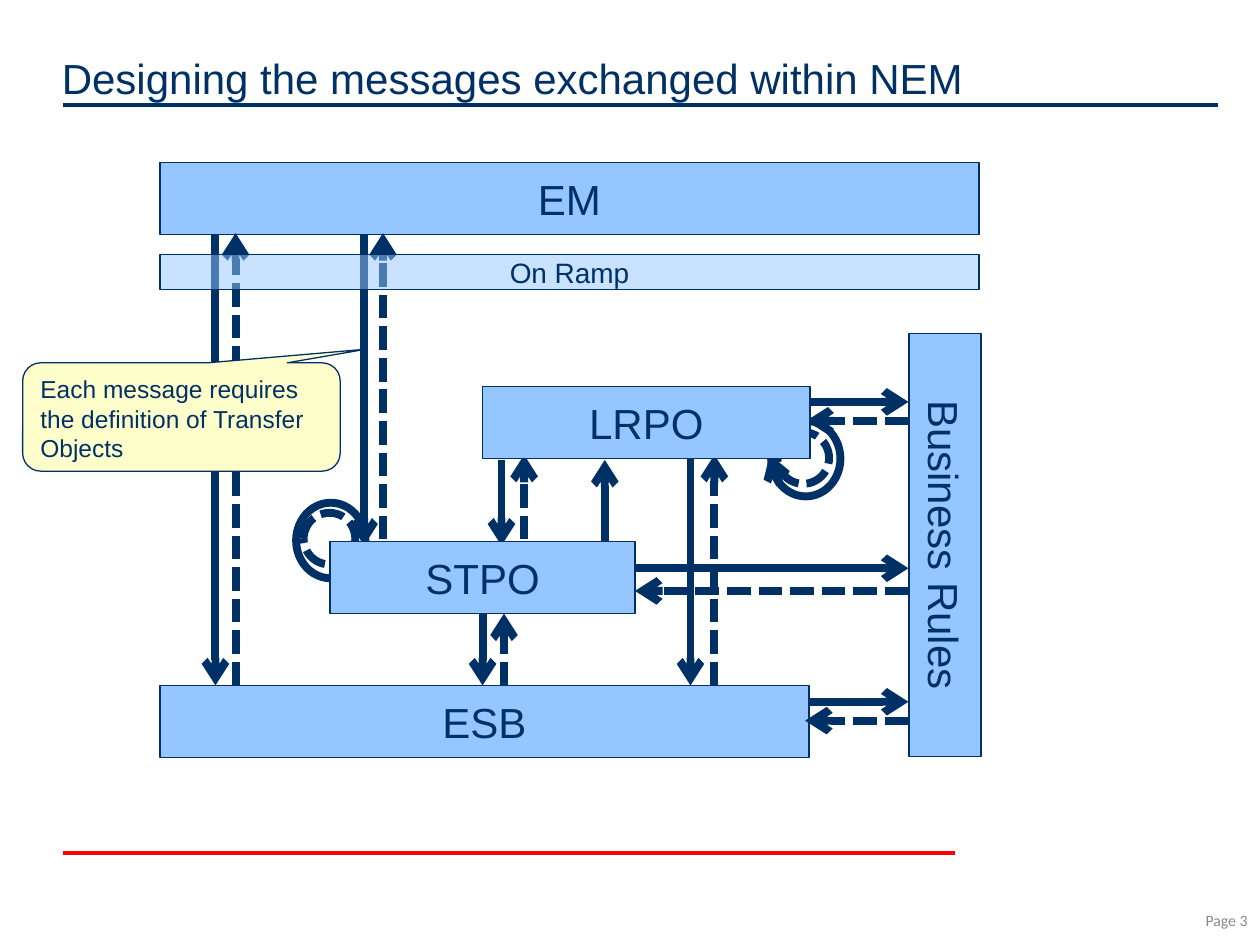
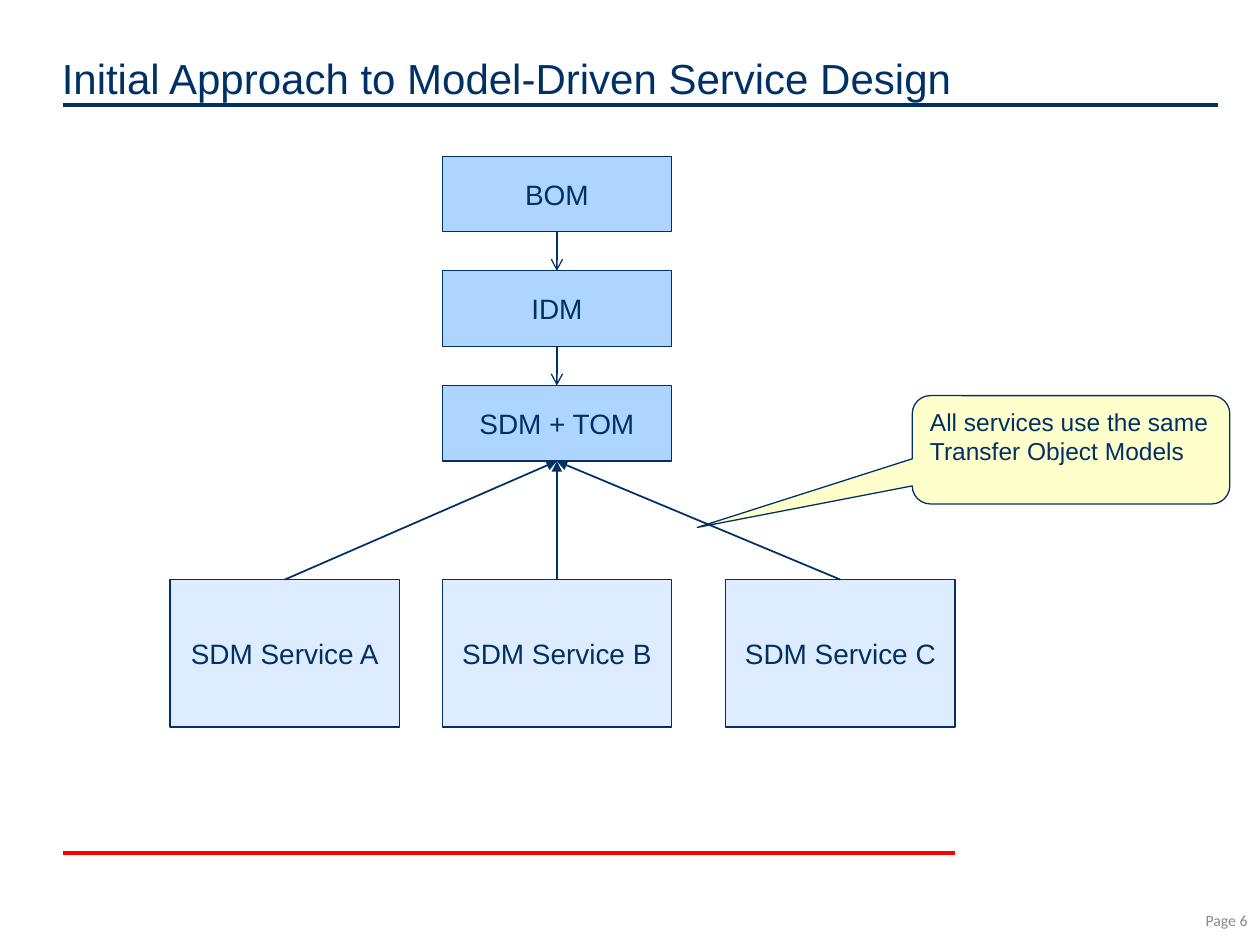
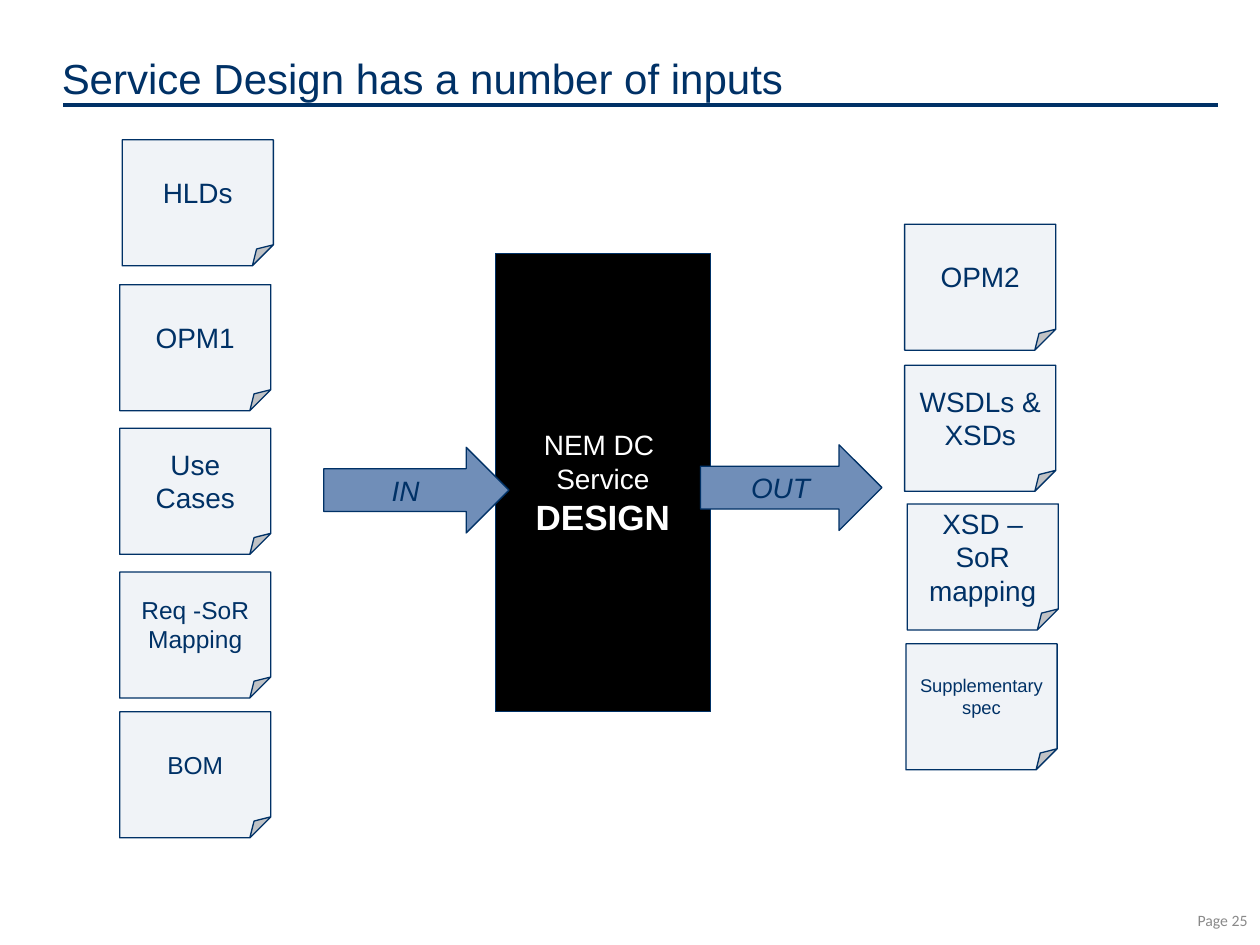
from dataclasses import dataclass

from lxml.etree import SubElement
from pptx import Presentation
from pptx.dml.color import RGBColor
from pptx.enum.dml import MSO_LINE
from pptx.enum.shapes import MSO_CONNECTOR, MSO_SHAPE as Preset
from pptx.enum.text import MSO_ANCHOR as Anchor, MSO_AUTO_SIZE, PP_ALIGN as Align
from pptx.oxml.ns import qn
from pptx.slide import Slide
from pptx.util import Emu, Pt

PX = 9144
NAVY, RED, WHITE, BLACK, GREY = "003166", "FE0000", "FFFFFF", "000000", "898989"
SYSTEM_BLUE, MODEL_BLUE, SERVICE_BLUE = "95C6FF", "ADD5FF", "DDEDFF"
CALLOUT_YELLOW, NOTE_GREY, ARROW_BLUE = "FFFFCC", "F0F3F7", "708EB8"
FLOW_WEIGHT = 4.5
TITLE_ONLY = 5


def px(*lengths):
    return [Emu(length * PX) for length in lengths]


def rgb(color):
    return RGBColor.from_string(color)


def write(frame, text, size=16, color=NAVY, font="Arial", bold=False, italic=False,
          align=Align.CENTER, anchor=Anchor.MIDDLE):
    frame.word_wrap = True
    frame.auto_size = MSO_AUTO_SIZE.NONE
    frame.vertical_anchor = anchor
    frame.text = text
    for paragraph in frame.paragraphs:
        paragraph.alignment = align
        for run in paragraph.runs:
            run.font.name, run.font.size = font, Pt(size)
            run.font.bold, run.font.italic = bold, italic
            run.font.color.rgb = rgb(color)


@dataclass
class Region:
    slide: Slide
    left: int = 0
    top: int = 0

    def block(self, x, y, width, height, fill=None, text="", preset=Preset.RECTANGLE,
              weight=0.75, dashed=False, adjust=(), opacity=100, **style):
        shape = self.slide.shapes.add_shape(
            preset, *px(self.left + x, self.top + y, width, height))
        shape.shadow.inherit = False
        for index, value in enumerate(adjust):
            shape.adjustments[index] = value
        if fill:
            shape.fill.solid()
            shape.fill.fore_color.rgb = rgb(fill)
        else:
            shape.fill.background()
        if opacity < 100:
            fill_color = shape.element.find(".//" + qn("a:srgbClr"))
            SubElement(fill_color, qn("a:alpha"), val=str(opacity * 1000))
        stroke(shape.line, weight, NAVY, dashed)
        if text:
            write(shape.text_frame, text, **style)
        return shape

    def line(self, x1, y1, x2, y2, weight, color=NAVY, dashed=False, head=None):
        ends = px(self.left + x1, self.top + y1, self.left + x2, self.top + y2)
        connector = self.slide.shapes.add_connector(MSO_CONNECTOR.STRAIGHT, *ends)
        stroke(connector.line, weight, color, dashed)
        if head:
            SubElement(connector.get_or_add_ln(), qn("a:tailEnd"), type=head)
        SubElement(connector.element.spPr, qn("a:effectLst"))

    def callout(self, x, y, text, pointer):
        self.block(x, y, 252, 86, CALLOUT_YELLOW, text, Preset.ROUNDED_RECTANGULAR_CALLOUT,
                   adjust=(*pointer, 0.167), size=14, align=Align.LEFT, anchor=Anchor.TOP)


def stroke(line, weight, color, dashed):
    line.width = Pt(weight)
    line.color.rgb = rgb(color)
    if dashed:
        line.dash_style = MSO_LINE.SQUARE_DOT


def titled_slide(deck, title, page, footer_rule=True):
    slide = deck.slides.add_slide(deck.slide_layouts[TITLE_ONLY])
    heading = slide.shapes.title
    heading.left, heading.top, heading.width, heading.height = px(39, 37, 920, 91)
    write(heading.text_frame, title, size=24, align=Align.LEFT, anchor=Anchor.TOP)
    frame = Region(slide)
    if footer_rule:
        frame.line(50, 677, 758, 677, 2.25, RED)
    frame.line(50, 83, 967, 83, 2.25)
    page_number = slide.shapes.add_textbox(*px(775, 710, 225, 40))
    write(page_number.text_frame, f"Page {page}", size=9, color=GREY, font="Calibri",
          align=Align.RIGHT)
    return slide


def message_flows(region):
    vertical = [
        (44, 57, 415, False), (60, 415, 56, True),
        (162, 57, 304, False), (177, 299, 56, True),
        (271, 236, 304, False), (289, 299, 232, True),
        (353, 301, 236, False),
        (256, 358, 415, False), (273, 415, 358, True),
        (421, 235, 415, False), (440, 415, 232, True),
    ]
    to_rules = [
        (190, 515, 594, False), (205, 594, 513, True),
        (322, 377, 594, False), (340, 594, 377, True),
        (428, 515, 594, False), (443, 594, 512, True),
    ]
    for x, start, end, dashed in vertical:
        region.line(x, start, x, end, FLOW_WEIGHT, dashed=dashed, head="arrow")
    for y, start, end, dashed in to_rules:
        region.line(start, y, end, y, FLOW_WEIGHT, dashed=dashed, head="arrow")


def self_message(region, x, y, inner_x, inner_y):
    region.block(x, y, 55, 60, preset=Preset.OVAL, weight=FLOW_WEIGHT)
    region.block(inner_x, inner_y, 41, 41, preset=Preset.OVAL, weight=FLOW_WEIGHT,
                 dashed=True)


def message_map(slide, left, top):
    region = Region(slide, left, top)
    region.block(0, 0, 650, 57, SYSTEM_BLUE, "EM", size=24)
    rules = region.block(455, 275, 336, 57, SYSTEM_BLUE, "Business Rules", size=24)
    rules.rotation = 90
    region.block(0, 415, 515, 57, SYSTEM_BLUE, "ESB", size=24)
    message_flows(region)
    self_message(region, 108, 270, 114, 278)
    self_message(region, 485, 205, 490, 214)
    region.line(492, 256, 484, 232, FLOW_WEIGHT, head="arrow")
    region.block(256, 178, 260, 57, SYSTEM_BLUE, "LRPO", size=24)
    region.block(135, 301, 242, 57, SYSTEM_BLUE, "STPO", size=24)
    region.block(0, 73, 650, 28, SYSTEM_BLUE, "On Ramp", opacity=50)
    region.callout(-109, 159, "Each message requires the definition of Transfer Objects",
                   (0.582, -0.626))


def service_tree(slide, left, top):
    region = Region(slide, left, top)
    width, model_height, step = 182, 60, 91
    model_x, service_y = 216, 336
    center = model_x + width // 2
    models = ["BOM", "IDM", "SDM + TOM"]
    for row, model in enumerate(models):
        y = row * step
        region.block(model_x, y, width, model_height, MODEL_BLUE, model)
        if row:
            region.line(center, y - step + model_height, center, y, 0.75, head="arrow")
    shared_bottom = (len(models) - 1) * step + model_height
    for letter, x in zip("ABC", (0, model_x, 441)):
        region.block(x, service_y, width, 117, SERVICE_BLUE, f"SDM Service {letter}")
        region.line(x + width // 2, service_y, center, shared_bottom, 1, head="triangle")
    region.callout(589, 190, "All services use the same Transfer Object Models",
                   (-1.177, 0.717))


def document_column(slide, left, top, documents):
    region = Region(slide, left, top)
    for x, y, text, size in documents:
        region.block(x, y, 120, 100, NOTE_GREY, text, Preset.FOLDED_CORNER, size=size)


def design_box(slide, left, top):
    region = Region(slide, left, top)
    design = region.block(0, 0, 171, 364, BLACK, "NEM DC \nService\nDESIGN", color=WHITE)
    emphasis = design.text_frame.paragraphs[-1].runs[0].font
    emphasis.size, emphasis.bold = Pt(20), True
    for x, y, width, label in [(163, 152, 144, "OUT"), (-136, 154, 147, "IN")]:
        region.block(x, y, width, 68, ARROW_BLUE, label, Preset.RIGHT_ARROW, italic=True)


def main():
    deck = Presentation()
    deck.slide_width, deck.slide_height = px(1000, 750)

    messages = titled_slide(deck, "Designing the messages exchanged within NEM", 3)
    message_map(messages, 127, 129)

    approach = titled_slide(deck, "Initial Approach to Model-Driven Service Design", 6)
    service_tree(approach, 135, 124)

    inputs = titled_slide(deck, "Service Design has a number of inputs", 25,
                          footer_rule=False)
    design_box(inputs, 393, 201)
    document_column(inputs, 95, 111, [
        (2, 0, "HLDs", 16), (0, 115, "OPM1", 16), (0, 229, "Use Cases", 16),
        (0, 343, "Req -SoR Mapping", 14), (0, 454, "BOM", 14)])
    document_column(inputs, 718, 178, [
        (0, 0, "OPM2", 16), (0, 112, "WSDLs & XSDs", 16),
        (2, 222, "XSD – SoR mapping", 16), (1, 333, "Supplementary spec", 10.5)])

    deck.save("out.pptx")


if __name__ == "__main__":
    main()
